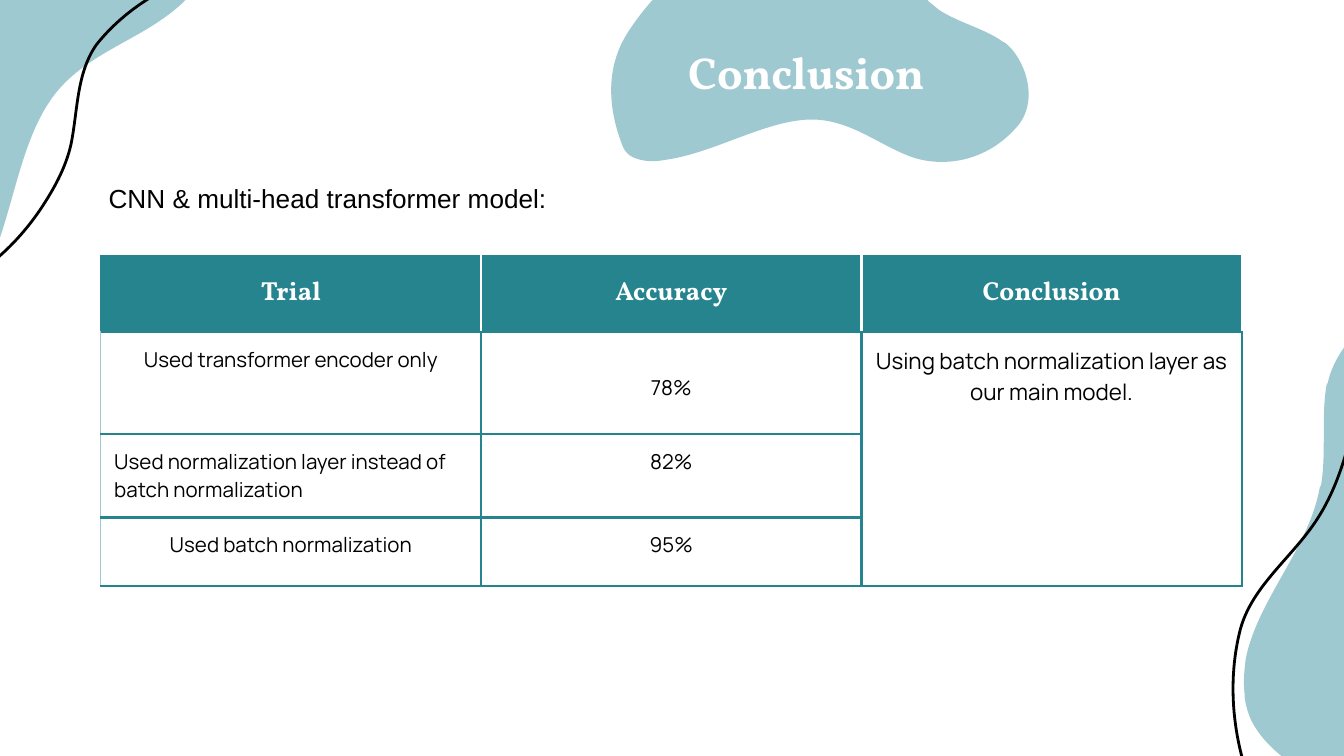
import pptx
import pptx.dml.color
import pptx.enum.text
import pptx.oxml
import pptx.oxml.ns
import pptx.util

# Colours
WHITE = pptx.dml.color.RGBColor(0xFF, 0xFF, 0xFF)
BLACK = pptx.dml.color.RGBColor(0x00, 0x00, 0x00)
TEAL = pptx.dml.color.RGBColor(0x26, 0x84, 0x8F)
MIST = pptx.dml.color.RGBColor(0x9F, 0xC9, 0xD0)

COLUMNS = 1000  # grid columns across the slide; rows are equally tall

ALIGN = pptx.enum.text.PP_ALIGN
ANCHOR = pptx.enum.text.MSO_ANCHOR
qn = pptx.oxml.ns.qn

# Curves: a start point, then two control points and an end point per segment
CORNER_BLOB = [
    (-118, -51), (-126, -48), (-133, -44), (-140, -38), (-146, -34), (-150, -29), (-155, -22),
    (-160, -13), (-163, -1), (-165, 11), (-167, 30), (-166, 49), (-164, 68),
    (-161, 107), (-157, 147), (-139, 182), (-120, 218), (-82, 230), (-49, 234),
    (-44, 234), (-40, 234), (-36, 232), (-26, 228), (-18, 218), (-12, 206),
    (10, 164), (13, 106), (41, 70), (63, 42), (97, 32), (124, 12),
    (152, -8), (176, -45), (163, -86), (154, -118), (111, -122), (87, -113),
    (86, -113), (85, -112), (84, -112), (62, -103), (43, -85), (20, -75),
    (20, -75), (19, -75), (18, -74), (-24, -57), (-77, -67), (-118, -51)]
CORNER_LINE = [
    (-79, 244), (-72, 228), (-49, 221), (-31, 212), (-5, 198), (15, 178), (30, 156),
    (40, 141), (49, 125), (53, 107), (58, 82), (57, 54), (72, 33),
    (96, 3), (136, -21), (187, -28)]
SIDE_BLOB = [
    (927, 490), (926, 498), (925, 507), (926, 515), (926, 522), (928, 529), (931, 536),
    (936, 546), (944, 555), (954, 563), (968, 575), (984, 585), (1001, 594),
    (1035, 613), (1071, 631), (1111, 635), (1151, 639), (1182, 613), (1203, 588),
    (1206, 585), (1208, 581), (1209, 577), (1211, 566), (1207, 553), (1201, 542),
    (1178, 501), (1131, 467), (1116, 424), (1104, 390), (1114, 356), (1113, 322),
    (1112, 288), (1093, 248), (1052, 235), (1021, 226), (993, 260), (988, 285),
    (988, 285), (987, 286), (987, 287), (983, 311), (987, 337), (983, 361),
    (983, 362), (983, 362), (982, 363), (974, 408), (936, 446), (927, 490)]
SIDE_LINE = [
    (1009, 182), (1000, 200), (1008, 225), (1011, 246), (1015, 279), (1010, 310), (1001, 339),
    (995, 359), (987, 378), (974, 395), (956, 419), (931, 439), (923, 468),
    (912, 510), (917, 562), (942, 609)]
TITLE_BLOB = [
    (632, -72), (627, -75), (622, -78), (616, -80), (611, -82), (606, -82), (600, -82),
    (592, -81), (582, -78), (574, -73), (560, -65), (548, -56), (535, -46),
    (510, -25), (484, -3), (466, 26), (449, 54), (454, 85), (463, 108),
    (464, 111), (466, 114), (469, 116), (476, 120), (485, 121), (495, 119),
    (532, 114), (572, 88), (606, 89), (633, 90), (653, 107), (676, 116),
    (699, 125), (733, 122), (757, 94), (774, 74), (762, 43), (748, 32),
    (747, 32), (747, 31), (746, 31), (732, 21), (713, 17), (698, 7),
    (698, 7), (697, 6), (697, 6), (670, -14), (658, -53), (632, -72)]

# Table content
ROW_HEIGHTS = [56, 76, 57, 51]
ROWS = [
    ["Trial", "Accuracy", "Conclusion"],
    ["Used transformer encoder only", "78%",
     "Using batch normalization layer as our main model."],
    ["Used normalization layer instead of batch normalization", "82%", ""],
    ["Used batch normalization", "95%", ""]]


class SlideBuilder:
    heading = {"name": "Vollkorn", "bold": True, "color": WHITE}
    body = {"name": "Manrope", "bold": False, "color": BLACK}
    plain = {"name": "Arial", "bold": False, "color": BLACK}

    def __init__(self, deck):
        self.unit = deck.slide_width / COLUMNS
        self.slide = deck.slides.add_slide(deck.slide_layouts[6])

    def grid(self, *counts):
        return [pptx.util.Emu(round(count * self.unit)) for count in counts]

    def fill_paragraph(self, frame, text, size, style, align=ALIGN.CENTER):
        para = frame.paragraphs[0]
        para.alignment = align
        span = para.add_run()
        span.text = text
        span.font.size = pptx.util.Pt(size)
        for key, value in style.items():
            if key == "color":
                span.font.color.rgb = value
            else:
                setattr(span.font, key, value)

    def curve(self, points, fill=None):
        """Filled blob, or an open black line when no fill is given."""
        builder = self.slide.shapes.build_freeform(*points[0], scale=self.unit)
        builder.add_line_segments(points[1:], close=fill is not None)
        shape = builder.convert_to_shape()
        shape.shadow.inherit = False
        # Turn each three straight segments into one Bézier segment
        segments = list(shape.element.iter(qn("a:lnTo")))
        for first, second, third in zip(*[iter(segments)] * 3):
            bezier = pptx.oxml.parse_xml(
                f"<a:cubicBezTo {pptx.oxml.ns.nsdecls('a')}/>")
            first.addprevious(bezier)
            for segment in (first, second, third):
                bezier.append(segment[0])
                segment.getparent().remove(segment)
        if fill is None:
            shape.fill.background()
            shape.line.color.rgb = BLACK
            shape.line.width = pptx.util.Pt(1.5)
        else:
            shape.fill.solid()
            shape.fill.fore_color.rgb = fill
            shape.line.fill.background()

    def text(self, area, text, size, style, align, frame_format):
        frame = self.slide.shapes.add_textbox(*self.grid(*area)).text_frame
        for key, value in frame_format.items():
            setattr(frame, key, value)
        self.fill_paragraph(frame, text, size, style, align)

    def borders(self, cell, sides):
        properties = cell._tc.get_or_add_tcPr()
        for position, side in enumerate("LRTB"):
            color, width = sides.get(side, (TEAL, 1.5))
            properties.insert(position, pptx.oxml.parse_xml(
                f'<a:ln{side} {pptx.oxml.ns.nsdecls("a")} w="{pptx.util.Pt(width)}">'
                f'<a:solidFill><a:srgbClr val="{color}"/></a:solidFill></a:ln{side}>'))

    def table(self, area, rows, heights):
        table = self.slide.shapes.add_table(
            len(rows), len(rows[0]), *self.grid(*area)).table
        table.first_row = table.horz_banding = False
        for row, height in zip(table.rows, self.grid(*heights)):
            row.height = height
        last = len(rows[0]) - 1
        table.cell(1, last).merge(table.cell(len(rows) - 1, last))
        margin, = self.grid(10)
        for r, texts in enumerate(rows):
            for c, text in enumerate(texts):
                cell, header = table.cell(r, c), r == 0
                cell.fill.solid()
                cell.fill.fore_color.rgb = TEAL if header else WHITE
                sides = {}
                if header:
                    sides = {side: (WHITE, 1.5) for side in ("R" if c == 0 else "LR")}
                elif c == 0:
                    sides = {"L": (MIST, 0.75)}
                self.borders(cell, sides)
                for side in ("left", "right", "top", "bottom"):
                    setattr(cell, f"margin_{side}", margin)
                cell.vertical_anchor = ANCHOR.MIDDLE if header else ANCHOR.TOP
                if text:
                    size = 14 if header else 12 if c == last else 11
                    align = ALIGN.LEFT if (r, c) == (2, 0) else ALIGN.CENTER
                    self.fill_paragraph(cell.text_frame, text, size,
                                        self.heading if header else self.body, align)
        # The first accuracy value sits one line lower
        table.cell(1, 1).margin_top, = self.grid(31)


def main():
    deck = pptx.Presentation()
    deck.slide_width = pptx.util.Inches(10)
    deck.slide_height = deck.slide_width * 9 // 16
    page = SlideBuilder(deck)

    # Corner decoration
    page.curve(CORNER_BLOB, MIST)
    page.curve(CORNER_LINE)
    page.curve(SIDE_BLOB, MIST)

    # Trial results
    page.table((75, 191, 849, sum(ROW_HEIGHTS)), ROWS, ROW_HEIGHTS)
    page.curve(SIDE_LINE)
    page.text((71, 131, 396, 34), "CNN & multi-head transformer model:", 14,
              page.plain, ALIGN.LEFT,
              {"word_wrap": True,
               "auto_size": pptx.enum.text.MSO_AUTO_SIZE.SHAPE_TO_FIT_TEXT})

    # Title
    page.curve(TITLE_BLOB, MIST)
    margin, = page.grid(10)
    page.text((475, -16, 250, 139), "Conclusion", 24, page.heading, ALIGN.CENTER,
              {"word_wrap": True, "vertical_anchor": ANCHOR.MIDDLE,
               "margin_top": margin, "margin_bottom": margin})

    deck.save("out.pptx")


if __name__ == "__main__":
    main()
